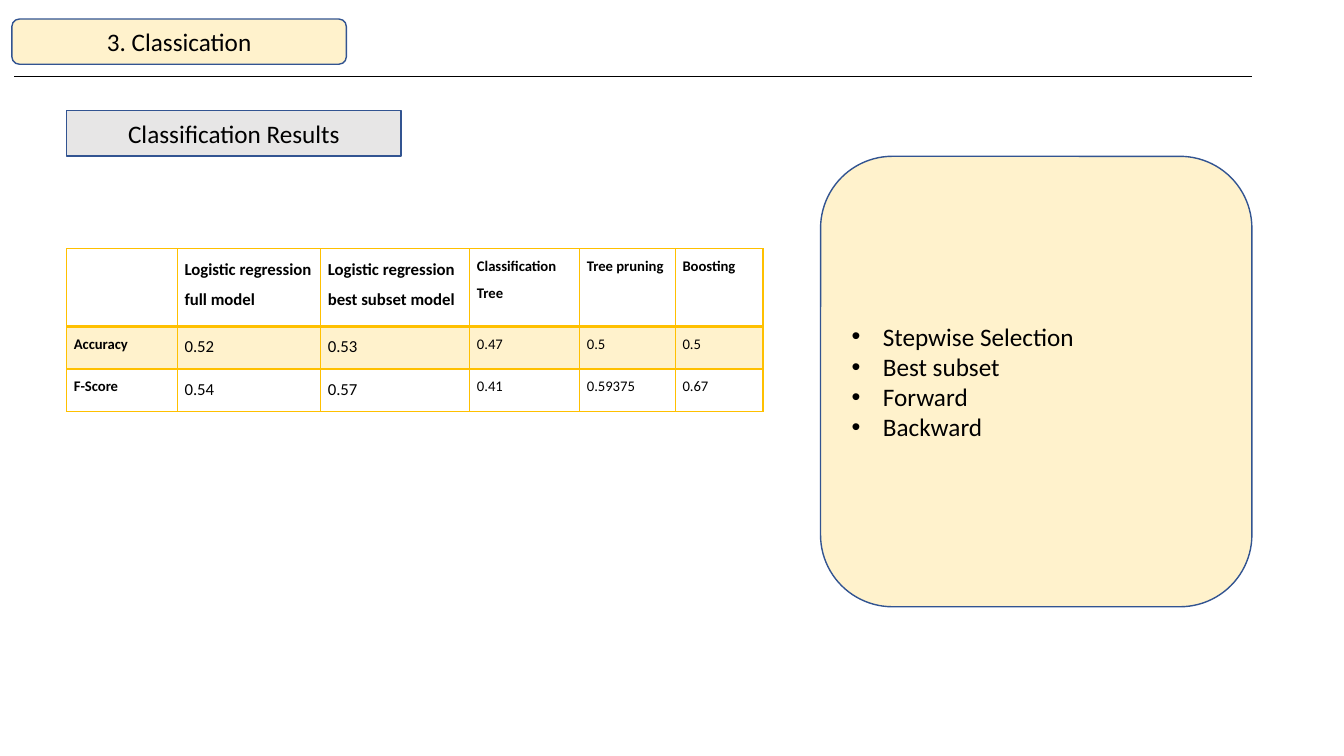
from dataclasses import dataclass

from lxml.etree import SubElement
from pptx import Presentation
from pptx.dml.color import RGBColor
from pptx.enum.shapes import MSO_CONNECTOR, MSO_SHAPE
from pptx.enum.text import MSO_ANCHOR, PP_ALIGN
from pptx.oxml.ns import qn
from pptx.slide import Slide
from pptx.table import _Cell
from pptx.text.text import _Paragraph
from pptx.util import Cm, Pt


@dataclass(frozen=True)
class Theme:
    font: str = "Calibri"
    black: str = "000000"
    cream: str = "FFF2CC"
    grey: str = "E7E6E6"
    blue: str = "325491"
    gold: str = "FFC000"
    label_size: float = 18
    large_cell: float = 12
    small_cell: float = 10.5
    thin: float = 1
    thick: float = 2
    text_outline: float = 0.75


@dataclass(frozen=True)
class Box:
    preset: MSO_SHAPE
    left: float
    top: float
    width: float
    height: float
    fill: str
    lines: tuple[str, ...]
    bulleted: bool = False


@dataclass(frozen=True)
class Column:
    width: float
    size: float
    texts: tuple[str, str, str]


THEME = Theme()

BOXES = (
    Box(MSO_SHAPE.ROUNDED_RECTANGLE, 0.3, 0.48, 8.43, 1.14, THEME.cream,
        ("3. Classication",)),
    Box(MSO_SHAPE.RECTANGLE, 1.68, 2.79, 8.43, 1.14, THEME.grey,
        ("Classification Results",)),
    Box(MSO_SHAPE.ROUNDED_RECTANGLE, 20.68, 3.94, 10.87, 11.35, THEME.cream,
        ("Stepwise Selection", "Best subset", "Forward", "Backward"), bulleted=True),
)

COLUMNS = (
    Column(2.79, THEME.small_cell, ("", "Accuracy", "F-Score")),
    Column(3.61, THEME.large_cell, ("Logistic regression\nfull model", "0.52", "0.54")),
    Column(3.76, THEME.large_cell, ("Logistic regression\nbest subset model", "0.53", "0.57")),
    Column(2.77, THEME.small_cell, ("Classification Tree", "0.47", "0.41")),
    Column(2.41, THEME.small_cell, ("Tree pruning", "0.5", "0.59375")),
    Column(2.21, THEME.small_cell, ("Boosting", "0.5", "0.67")),
)
ROW_HEIGHTS = (1.96, 1.07, 1.07)


def write_text(para: _Paragraph, text: str, *, size: float, bold: bool = False,
               align: PP_ALIGN = PP_ALIGN.LEFT, spacing: float = 1.0,
               outlined: bool = False, bulleted: bool = False) -> None:
    para.alignment = align
    para.line_spacing = spacing
    span = para.add_run()
    span.text = text
    span.font.name = THEME.font
    span.font.size = Pt(size)
    span.font.bold = bold
    span.font.color.rgb = RGBColor.from_string(THEME.black)
    if outlined:
        properties = span._r.get_or_add_rPr()
        outline = SubElement(properties, qn("a:ln"), w=str(Pt(THEME.text_outline)))
        solid = SubElement(outline, qn("a:solidFill"))
        SubElement(solid, qn("a:srgbClr"), val=THEME.black)
        properties.insert(0, outline)
    if bulleted:
        properties = para._p.get_or_add_pPr()
        properties.set("marL", str(Cm(0.79)))
        properties.set("indent", str(-Cm(0.79)))
        SubElement(properties, qn("a:buFont"), typeface="Arial")
        SubElement(properties, qn("a:buChar"), char="•")


def draw_box(page: Slide, box: Box) -> None:
    shape = page.shapes.add_shape(
        box.preset, Cm(box.left), Cm(box.top), Cm(box.width), Cm(box.height))
    shape.shadow.inherit = False
    shape.fill.solid()
    shape.fill.fore_color.rgb = RGBColor.from_string(box.fill)
    shape.line.color.rgb = RGBColor.from_string(THEME.blue)
    shape.line.width = Pt(THEME.thin)
    frame = shape.text_frame
    frame.word_wrap = True
    frame.vertical_anchor = MSO_ANCHOR.MIDDLE
    align = PP_ALIGN.LEFT if box.bulleted else PP_ALIGN.CENTER
    for index, line in enumerate(box.lines):
        para = frame.add_paragraph() if index else frame.paragraphs[0]
        write_text(para, line, size=THEME.label_size, align=align,
                   outlined=True, bulleted=box.bulleted)


def draw_rule(page: Slide) -> None:
    rule = page.shapes.add_connector(
        MSO_CONNECTOR.STRAIGHT, Cm(0.36), Cm(1.93), Cm(31.55), Cm(1.93))
    rule.line.color.rgb = RGBColor.from_string(THEME.black)
    rule.line.width = Pt(THEME.thin)
    SubElement(rule._element.spPr, qn("a:effectLst"))


def style_cell(cell: _Cell, row: int) -> None:
    cell.margin_left = cell.margin_right = Cm(0.18)
    cell.margin_top = cell.margin_bottom = 0
    properties = cell._tc.get_or_add_tcPr()
    below_header = {0: "lnB", 1: "lnT"}.get(row)
    for side in ("lnL", "lnR", "lnT", "lnB"):
        width = THEME.thick if side == below_header else THEME.thin
        border = SubElement(properties, qn(f"a:{side}"), w=str(Pt(width)))
        solid = SubElement(border, qn("a:solidFill"))
        SubElement(solid, qn("a:srgbClr"), val=THEME.gold)
    if row == 1:
        cell.fill.solid()
        cell.fill.fore_color.rgb = RGBColor.from_string(THEME.gold)
        color = properties.find(qn("a:solidFill")).find(qn("a:srgbClr"))
        SubElement(color, qn("a:alpha"), val="20000")
    else:
        cell.fill.background()


def draw_results(page: Slide) -> None:
    table = page.shapes.add_table(
        len(ROW_HEIGHTS), len(COLUMNS), Cm(1.68), Cm(6.27),
        Cm(sum(column.width for column in COLUMNS)), Cm(sum(ROW_HEIGHTS))).table
    table.first_row = table.horz_banding = False
    for row, height in enumerate(ROW_HEIGHTS):
        table.rows[row].height = Cm(height)
    for index, column in enumerate(COLUMNS):
        table.columns[index].width = Cm(column.width)
        for row, text in enumerate(column.texts):
            cell = table.cell(row, index)
            style_cell(cell, row)
            for number, line in enumerate(text.splitlines()):
                frame = cell.text_frame
                para = frame.add_paragraph() if number else frame.paragraphs[0]
                write_text(para, line, size=column.size, bold=row == 0 or index == 0,
                           align=PP_ALIGN.JUSTIFY, spacing=1.5)


def main() -> None:
    deck = Presentation()
    deck.slide_width, deck.slide_height = Cm(33.87), Cm(19.05)
    page = deck.slides.add_slide(deck.slide_layouts[6])
    for box in BOXES:
        draw_box(page, box)
    draw_rule(page)
    draw_results(page)
    deck.save("out.pptx")


if __name__ == "__main__":
    main()
